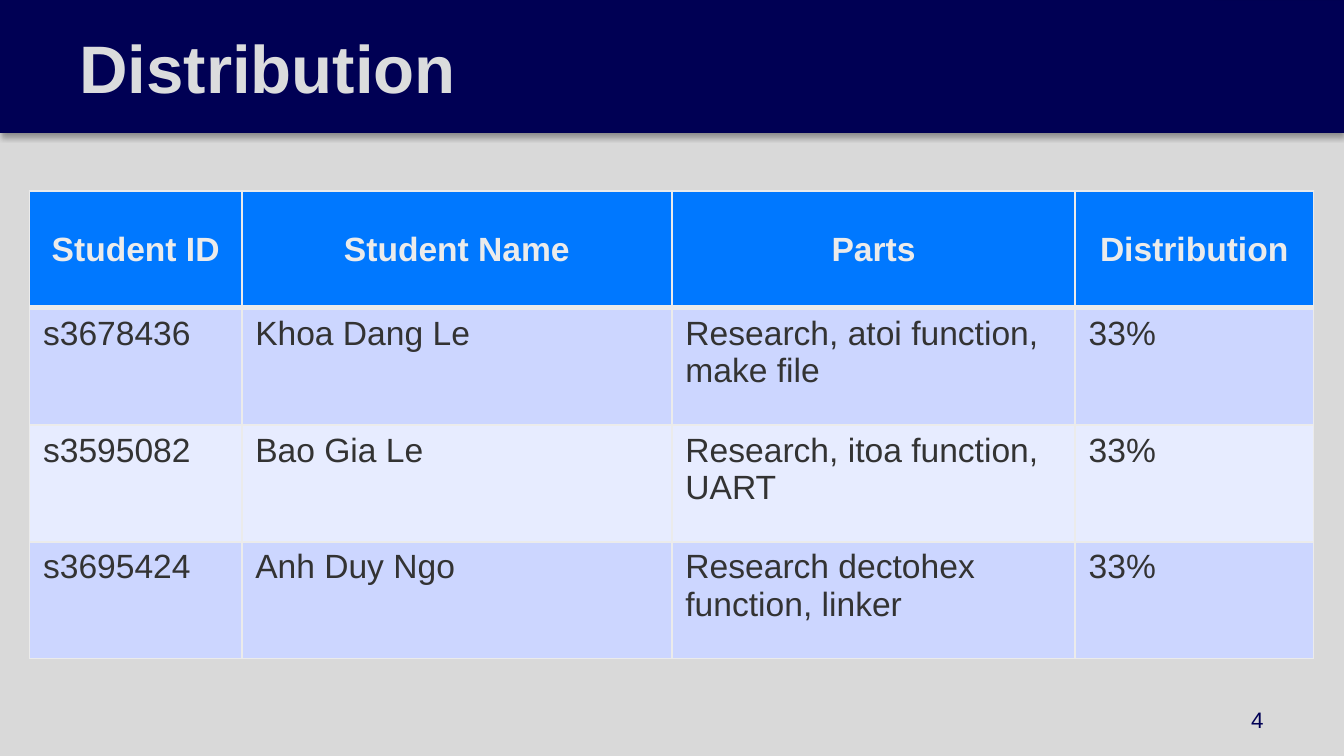
from lxml.etree import SubElement
from pptx import Presentation
from pptx.dml.color import RGBColor
from pptx.enum.shapes import MSO_SHAPE
from pptx.enum.text import MSO_ANCHOR, MSO_AUTO_SIZE, PP_ALIGN
from pptx.oxml import parse_xml
from pptx.oxml.ns import nsdecls, qn
from pptx.util import Cm, Pt

NAVY = RGBColor(0x00, 0x00, 0x54)
BAND_EDGE = RGBColor(0x00, 0x00, 0x52)
BACKGROUND = RGBColor(0xD9, 0xD9, 0xD9)
TITLE_GREY = RGBColor(0xDB, 0xDC, 0xDD)
PALE = RGBColor(0xEB, 0xEB, 0xEB)
DARK = RGBColor(0x33, 0x33, 0x33)
BLUE = RGBColor(0x00, 0x78, 0xFF)
ROW_FILLS = [RGBColor(0xCC, 0xD6, 0xFF), RGBColor(0xE7, 0xEC, 0xFF)]


def add_text(paragraph, text, size, color, bold=False):
    run = paragraph.add_run()
    run.text = text
    run.font.name = "Arial"
    run.font.size = Pt(size)
    run.font.bold = bold
    run.font.color.rgb = color


def add_border(cell, side, width):
    border = SubElement(cell._tc.get_or_add_tcPr(), qn(f"a:ln{side}"), w=str(Pt(width)))
    SubElement(SubElement(border, qn("a:solidFill")), qn("a:srgbClr"), val=str(PALE))


prs = Presentation()
prs.slide_width, prs.slide_height = Cm(25.4), Cm(14.29)
slide = prs.slides.add_slide(prs.slide_layouts[5])
slide.background.fill.solid()
slide.background.fill.fore_color.rgb = BACKGROUND

band = slide.shapes.add_shape(MSO_SHAPE.RECTANGLE, 0, 0, prs.slide_width, Cm(2.51))
band.fill.solid()
band.fill.fore_color.rgb = NAVY
band.line.color.rgb = BAND_EDGE
band.line.width = Pt(0.75)
band.element.spPr.append(parse_xml(
    f'<a:effectLst {nsdecls("a")}>'
    f'<a:outerShdw blurRad="{Pt(3.1)}" dist="{Pt(1.8)}" dir="5400000" rotWithShape="0">'
    '<a:srgbClr val="000000"><a:alpha val="35000"/></a:srgbClr>'
    '</a:outerShdw></a:effectLst>'))

title = slide.shapes.title
title.element.addprevious(band.element)
title.left, title.top, title.width, title.height = 0, 0, Cm(22.94), Cm(2.51)
title.fill.solid()
title.fill.fore_color.rgb = NAVY
heading = title.text_frame
heading.auto_size = MSO_AUTO_SIZE.NONE
heading.vertical_anchor = MSO_ANCHOR.MIDDLE
heading.margin_left = heading.margin_right = Cm(1.02)
heading.margin_top = heading.margin_bottom = Cm(0.25)
heading.paragraphs[0].alignment = PP_ALIGN.LEFT
heading.paragraphs[0]._p.get_or_add_pPr().set("marL", str(Cm(0.48)))
add_text(heading.paragraphs[0], "Distribution", 36, TITLE_GREY, True)

members = [
    ("Student ID", "Student Name", "Parts", "Distribution"),
    ("s3678436", "Khoa Dang Le", "Research, atoi function, make file", "33%"),
    ("s3595082", "Bao Gia Le", "Research, itoa function, UART", "33%"),
    ("s3695424", "Anh Duy Ngo", "Research dectohex function, linker", "33%"),
]
column_widths = [4.01, 8.13, 7.62, 4.5]
row_height = 2.21
distribution = slide.shapes.add_table(
    len(members), len(column_widths), Cm(0.56), Cm(3.61),
    Cm(sum(column_widths)), Cm(row_height * len(members))).table
for column, width in zip(distribution.columns, column_widths):
    column.width = Cm(width)

for r, member in enumerate(members):
    distribution.rows[r].height = Cm(row_height)
    is_header = r == 0
    for c, entry in enumerate(member):
        cell = distribution.cell(r, c)
        add_border(cell, "L", 1)
        add_border(cell, "R", 1)
        add_border(cell, "T", 3 if r == 1 else 1)
        add_border(cell, "B", 3 if is_header else 1)
        cell.fill.solid()
        cell.fill.fore_color.rgb = BLUE if is_header else ROW_FILLS[(r - 1) % 2]
        cell.vertical_anchor = MSO_ANCHOR.MIDDLE if is_header else MSO_ANCHOR.TOP
        paragraph = cell.text_frame.paragraphs[0]
        paragraph.alignment = PP_ALIGN.CENTER if is_header else PP_ALIGN.LEFT
        add_text(paragraph, entry, 18, PALE if is_header else DARK, is_header)

page_number = slide.shapes.add_textbox(Cm(18.21), Cm(13.23), Cm(5.92), Cm(0.76)).text_frame
page_number.word_wrap = True
page_number.vertical_anchor = MSO_ANCHOR.MIDDLE
page_number.paragraphs[0].alignment = PP_ALIGN.RIGHT
add_text(page_number.paragraphs[0], "4", 12, NAVY)

prs.save("out.pptx")
